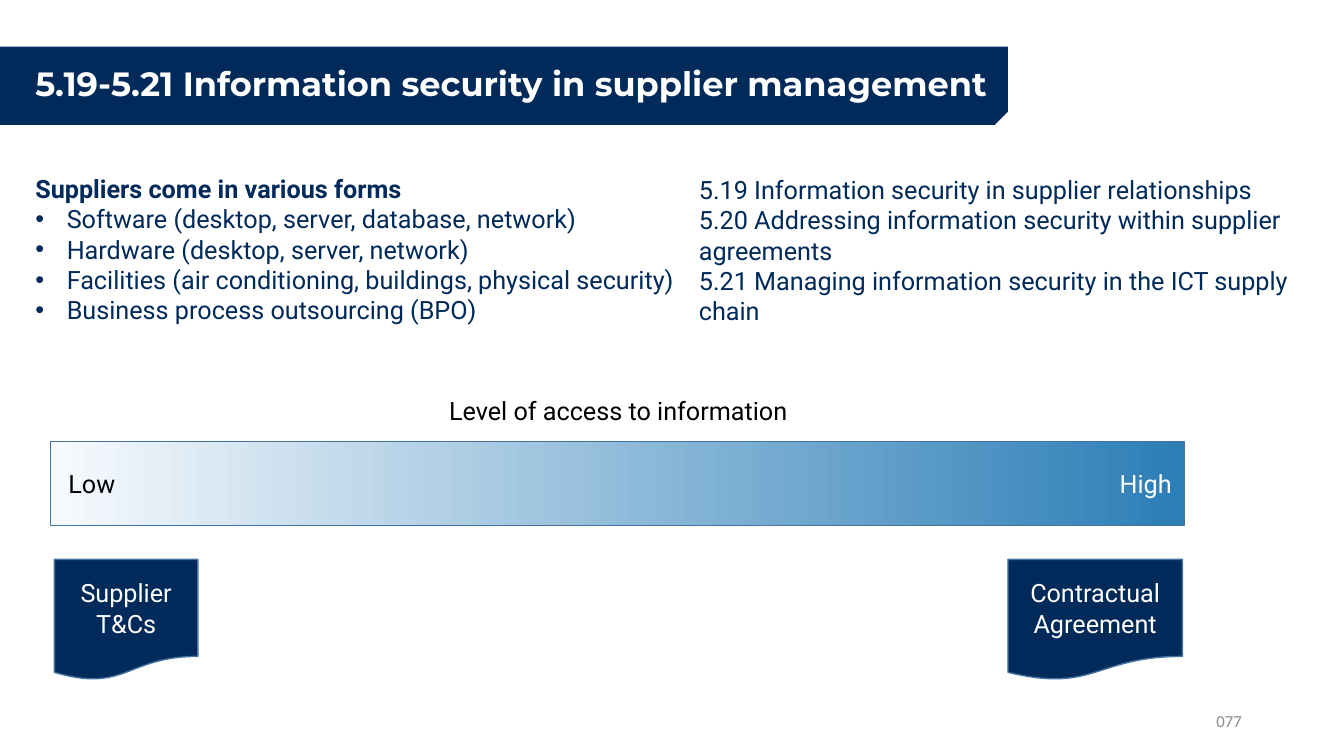
from lxml.etree import SubElement
from pptx import Presentation
from pptx.dml.color import RGBColor
from pptx.enum.shapes import MSO_SHAPE
from pptx.enum.text import MSO_ANCHOR, MSO_AUTO_SIZE, PP_ALIGN
from pptx.oxml.ns import qn
from pptx.util import Pt

NAVY, WHITE, BLACK, GREY, EDGE = "002A5A", "FFFFFF", "000000", "8C8C8C", "43739E"
PALE, BLUE = "F7FAFD", "2C7EB7"

FORMS = [
    "Software (desktop, server, database, network)",
    "Hardware (desktop, server, network)",
    "Facilities (air conditioning, buildings, physical security)",
    "Business process outsourcing (BPO)",
]
CONTROLS = [
    "5.19 Information security in supplier relationships",
    "5.20 Addressing information security within supplier agreements",
    "5.21 Managing information security in the ICT supply chain",
]


def rgb(value):
    """Turn a hex string into a colour."""
    return RGBColor.from_string(value)


def place(sp, left, top, width, height):
    """Move and size a shape in points."""
    sp.left, sp.top, sp.width, sp.height = Pt(left), Pt(top), Pt(width), Pt(height)


def prepare(sp, wrap=True, anchor=MSO_ANCHOR.TOP):
    """Set the frame of a shape's text and return it."""
    tf = sp.text_frame
    tf.auto_size = MSO_AUTO_SIZE.NONE
    tf.word_wrap = wrap
    tf.vertical_anchor = anchor
    return tf


def write(p, text, color, size=18, font="Roboto", bold=False, align=PP_ALIGN.LEFT):
    """Add one formatted run to a paragraph."""
    p.alignment = align
    r = p.add_run()
    r.text = text
    r.font.name, r.font.size, r.font.bold = font, Pt(size), bold
    r.font.color.rgb = rgb(color)


def set_bullet(p, char=None):
    """Give a paragraph a hanging bullet, or take the bullet away."""
    pPr = p._p.get_or_add_pPr()
    indent = Pt(22.5) if char else 0
    pPr.set("marL", str(indent))
    pPr.set("indent", str(-indent))
    if char:
        SubElement(pPr, qn("a:buFont")).set("typeface", "Arial")
        SubElement(pPr, qn("a:buChar")).set("char", char)
    else:
        SubElement(pPr, qn("a:buNone"))


def fill_list(sp, items, wrap=True):
    """Write (text, bullet, bold) items into a body placeholder."""
    tf = prepare(sp, wrap)
    for i, (text, char, bold) in enumerate(items):
        p = tf.add_paragraph() if i else tf.paragraphs[0]
        set_bullet(p, char)
        p.space_before = Pt(0)
        write(p, text, NAVY, bold=bold)


def add_label(slide, text, box, color, wrap=False, anchor=MSO_ANCHOR.TOP, **style):
    """Add a one-line text box."""
    sp = slide.shapes.add_textbox(*map(Pt, box))
    write(prepare(sp, wrap, anchor).paragraphs[0], text, color, **style)


def add_block(slide, kind, box, fill=NAVY, line=EDGE):
    """Add a flat preset shape."""
    sp = slide.shapes.add_shape(kind, *map(Pt, box))
    sp.shadow.inherit = False
    sp.fill.solid()
    sp.fill.fore_color.rgb = rgb(fill)
    if line:
        sp.line.color.rgb = rgb(line)
        sp.line.width = Pt(1)
    else:
        sp.line.fill.background()
    return sp


def add_title(slide, text):
    """Set the title on a navy band with a cut lower corner."""
    title = slide.shapes.title
    band = add_block(slide, MSO_SHAPE.SNIP_ROUND_RECTANGLE, (0, 33.3, 720, 56), line=None)
    band.adjustments[0], band.adjustments[1] = 0, 0.17
    band.element.spPr.find(qn("a:xfrm")).set("flipV", "1")
    title.element.addprevious(band.element)
    place(title, 18, 33.3, 702, 56)
    p = prepare(title, anchor=MSO_ANCHOR.MIDDLE).paragraphs[0]
    p.line_spacing = 0.9
    write(p, text, WHITE, size=24, font="Montserrat", bold=True)


def add_scale(slide):
    """Add the low-to-high access bar with its labels."""
    bar = add_block(slide, MSO_SHAPE.RECTANGLE, (36, 315.3, 810, 60))
    bar.fill.gradient()
    bar.fill.gradient_angle = 0
    for stop, color in zip(bar.fill.gradient_stops, (PALE, BLUE)):
        stop.color.rgb = rgb(color)
    add_label(slide, "Level of access to information", (313.7, 278.8, 259, 29), BLACK)
    add_label(slide, "Low", (41.8, 331, 48, 29), BLACK)
    add_label(slide, "High", (792.7, 331, 52, 29), WHITE)


def add_document(slide, text, left, width):
    """Add a document shape with centred text."""
    sp = add_block(slide, MSO_SHAPE.FLOWCHART_DOCUMENT, (left, 399.6, width, 86.4))
    p = prepare(sp, anchor=MSO_ANCHOR.MIDDLE).paragraphs[0]
    write(p, text, WHITE, align=PP_ALIGN.CENTER)


def main():
    """Build and save the slide."""
    prs = Presentation()
    prs.slide_width, prs.slide_height = Pt(960), Pt(540)
    slide = prs.slides.add_slide(prs.slide_layouts.get_by_name("Two Content"))
    add_title(slide, "5.19-5.21 Information security in supplier management")

    forms, controls = slide.placeholders[1], slide.placeholders[2]
    place(forms, 18, 120.3, 471, 116.6)
    heading = ("Suppliers come in various forms", None, True)
    fill_list(forms, [heading] + [(text, "•", False) for text in FORMS], wrap=False)
    place(controls, 492, 121, 468, 116.6)
    fill_list(controls, [(text, None, False) for text in CONTROLS])

    add_scale(slide)
    add_document(slide, "Supplier T&Cs", 38.9, 102.5)
    add_document(slide, "Contractual Agreement", 720, 124.6)
    add_label(slide, "077", (678.2, 500.5, 216, 28.8), GREY, wrap=True,
              anchor=MSO_ANCHOR.MIDDLE, size=12, font="Calibri", align=PP_ALIGN.RIGHT)
    prs.save("out.pptx")


if __name__ == "__main__":
    main()
